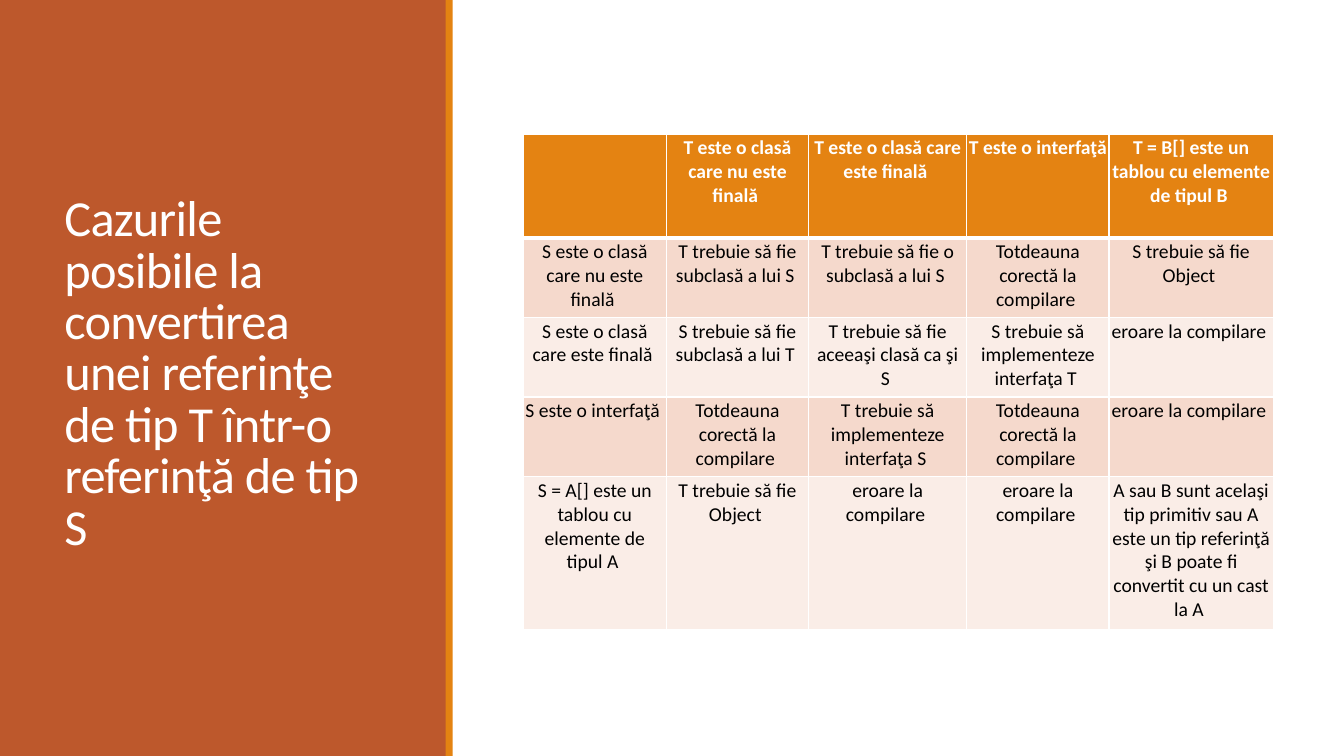
import pptx
import pptx.dml.color
import pptx.enum.shapes
import pptx.enum.text
import pptx.oxml
import pptx.oxml.ns
import pptx.util
from pptx.util import Inches, Pt

RGBColor = pptx.dml.color.RGBColor

# Content
TITLE = "Cazurile posibile la convertirea unei referinţe de tip T într-o referinţă de tip S"
ROWS = [
    ["",
     "T este o clasă care nu este finală ",
     "T este o clasă care este finală ",
     "T este o interfaţă ",
     "T = B[] este un tablou cu elemente de tipul B "],
    ["S este o clasă care nu este finală ",
     "T trebuie să fie subclasă a lui S ",
     "T trebuie să fie o subclasă a lui S ",
     "Totdeauna corectă la compilare ",
     "S trebuie să fie Object "],
    ["S este o clasă care este finală ",
     "S trebuie să fie subclasă a lui T ",
     "T trebuie să fie aceeaşi clasă ca şi S ",
     "S trebuie să implementeze interfaţa T ",
     "eroare la compilare "],
    ["S este o interfaţă ",
     "Totdeauna corectă la compilare ",
     "T trebuie să implementeze interfaţa S ",
     "Totdeauna corectă la compilare ",
     "eroare la compilare "],
    ["S = A[] este un tablou cu elemente de tipul A ",
     "T trebuie să fie Object ",
     "eroare la compilare ",
     "eroare la compilare ",
     "A sau B sunt acelaşi tip primitiv sau A este un tip referinţă "
     "şi B poate fi convertit cu un cast la A "],
]
COLUMN_WIDTHS = [1.42, 1.41, 1.57, 1.41, 1.63]
ROW_HEIGHTS = [1.03, 0.79, 0.79, 0.79, 1.52]

FONT = "Calibri"
RUST = RGBColor(0xBD, 0x58, 0x2C)
ORANGE = RGBColor(0xE4, 0x83, 0x12)
BAND_DARK = RGBColor(0xF5, 0xD9, 0xCC)
BAND_LIGHT = RGBColor(0xFA, 0xED, 0xE7)
WHITE = RGBColor(0xFF, 0xFF, 0xFF)
BLACK = RGBColor(0, 0, 0)


def add_panel(page, left, width, color):
    """Add a full-height vertical panel."""
    panel = page.shapes.add_shape(
        pptx.enum.shapes.MSO_SHAPE.RECTANGLE,
        Inches(left), 0, Inches(width), Inches(7.5))
    panel.shadow.inherit = False
    panel.fill.solid()
    panel.fill.fore_color.rgb = color
    panel.line.fill.background()


def style_text(para, size, color, bold=False):
    for span in para.runs:
        span.font.name = FONT
        span.font.size = Pt(size)
        span.font.color.rgb = color
        span.font.bold = bold


def set_borders(cell, bottom_width):
    properties = cell._tc.get_or_add_tcPr()
    widths = {"lnL": 1, "lnR": 1, "lnT": 1, "lnB": bottom_width}
    for position, (side, width) in enumerate(widths.items()):
        properties.insert(position, pptx.oxml.parse_xml(
            f'<a:{side} {pptx.oxml.ns.nsdecls("a")} w="{Pt(width)}"><a:solidFill>'
            f'<a:srgbClr val="{WHITE}"/></a:solidFill></a:{side}>'))


def add_title(page):
    box = page.shapes.add_textbox(Inches(0.54), Inches(0.57), Inches(3.37), Inches(6.31))
    frame = box.text_frame
    frame.word_wrap = True
    frame.vertical_anchor = pptx.enum.text.MSO_ANCHOR.MIDDLE
    frame.text = TITLE
    para = frame.paragraphs[0]
    para.line_spacing = 0.85
    style_text(para, 36, WHITE)
    para.runs[0].font._element.set("spc", "-50")


def add_cases(page):
    table = page.shapes.add_table(
        len(ROWS), len(COLUMN_WIDTHS), Inches(5.19), Inches(1.33),
        Inches(sum(COLUMN_WIDTHS)), Inches(sum(ROW_HEIGHTS))).table
    for column, width in zip(table.columns, COLUMN_WIDTHS):
        column.width = Inches(width)
    for row_index, (row, height) in enumerate(zip(table.rows, ROW_HEIGHTS)):
        row.height = Inches(height)
        header = row_index == 0
        band = ORANGE if header else BAND_DARK if row_index % 2 else BAND_LIGHT
        for cell, text in zip(row.cells, ROWS[row_index]):
            cell.margin_left = cell.margin_right = Inches(0.02)
            cell.margin_top = cell.margin_bottom = Inches(0.02)
            cell.fill.solid()
            cell.fill.fore_color.rgb = band
            set_borders(cell, 3 if header else 1)
            if text:
                cell.text_frame.text = text
                para = cell.text_frame.paragraphs[0]
                para.alignment = pptx.enum.text.PP_ALIGN.CENTER
                style_text(para, 14, WHITE if header else BLACK, header)


def main():
    deck = pptx.Presentation()
    deck.slide_width, deck.slide_height = Inches(13.33), Inches(7.5)
    page = deck.slides.add_slide(deck.slide_layouts[6])

    # Title side
    add_panel(page, 0, 4.43, RUST)
    add_title(page)
    add_panel(page, 4.42, 0.07, ORANGE)

    # Table of conversion cases
    add_cases(page)
    deck.save("out.pptx")


if __name__ == "__main__":
    main()
